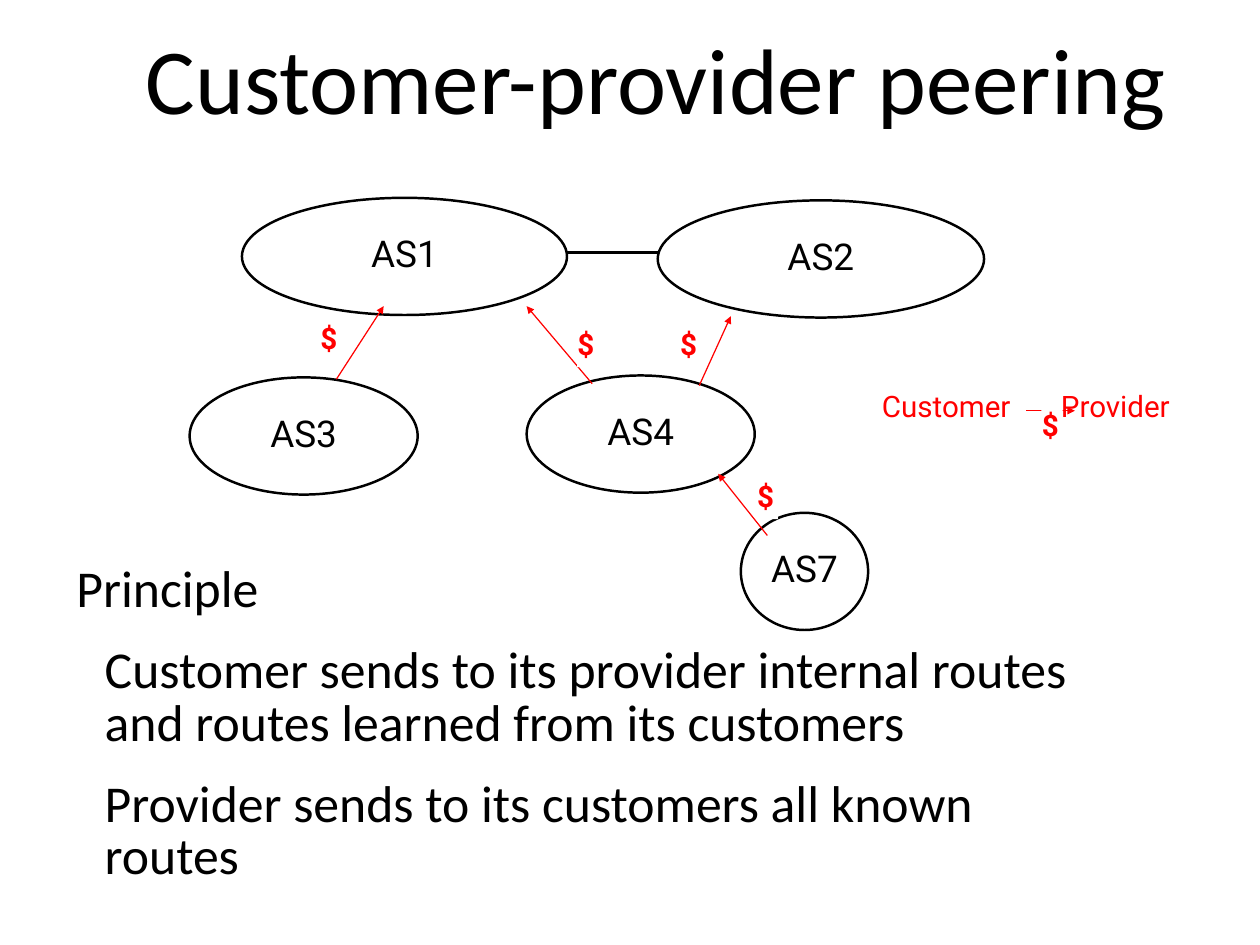
from lxml.etree import SubElement
from pptx import Presentation
from pptx.dml.color import RGBColor
from pptx.enum.shapes import MSO_CONNECTOR as Line, MSO_SHAPE as Shape
from pptx.enum.text import MSO_ANCHOR as Anchor, MSO_AUTO_SIZE as Fit, PP_ALIGN as Align
from pptx.oxml.ns import qn
from pptx.util import Inches, Pt

BLACK, RED, WHITE = "000000", "FF0000", "FFFFFF"
COLUMNS, ROWS = 100, 75


def color(hex_code):
    return RGBColor.from_string(hex_code)


class PeeringSlide:
    """Places elements on a slide divided into COLUMNS by ROWS."""

    heading_font, diagram_font = "Calibri", "Roboto"
    line_spacing = 0.84

    def __init__(self, deck):
        self.column = deck.slide_width / COLUMNS
        self.row = deck.slide_height / ROWS
        self.slide = deck.slides.add_slide(deck.slide_layouts[1])
        self.shapes = self.slide.shapes

    def point(self, x, y):
        return round(x * self.column), round(y * self.row)

    def box(self, x, y, width, height):
        return *self.point(x, y), *self.point(width, height)

    def frame(self, holder, inset=0, wrap=True):
        frame = holder.text_frame
        frame.auto_size = Fit.NONE
        frame.word_wrap = wrap
        frame.vertical_anchor = Anchor.MIDDLE
        frame.margin_left = frame.margin_right = Inches(inset)
        frame.margin_top = frame.margin_bottom = Inches(inset)
        return frame

    def add_text(self, paragraph, text, size, font, hex_code=BLACK, bold=False, align=Align.CENTER):
        paragraph.alignment = align
        paragraph.line_spacing = self.line_spacing
        run = paragraph.add_run()
        run.text = text
        run.font.name, run.font.size, run.font.bold = font, Pt(size), bold
        run.font.color.rgb = color(hex_code)

    def place(self, placeholder, bounds):
        placeholder.left, placeholder.top, placeholder.width, placeholder.height = self.box(*bounds)
        return self.frame(placeholder, inset=0.06)

    def title(self, text, bounds):
        frame = self.place(self.shapes.title, bounds)
        self.add_text(frame.paragraphs[0], text, 75.6, self.heading_font)

    def body(self, items, bounds):
        """Adds (level, text) items without bullets."""
        frame = self.place(self.slide.placeholders[1], bounds)
        for index, (level, text) in enumerate(items):
            paragraph = frame.add_paragraph() if index else frame.paragraphs[0]
            paragraph.level = level
            paragraph.space_before = Pt(24 if index else 0)
            properties = paragraph._p.get_or_add_pPr()
            properties.set("marL", str(Inches(0.39 + 0.32 * level)))
            properties.set("indent", "0")
            SubElement(properties, qn("a:buNone"))
            self.add_text(paragraph, text, 42, self.heading_font, align=Align.LEFT)

    def legend(self, text, bounds, tab_stop):
        holder = self.shapes.add_textbox(*self.box(*bounds))
        paragraph = self.frame(holder).paragraphs[0]
        tabs = SubElement(paragraph._p.get_or_add_pPr(), qn("a:tabLst"))
        SubElement(tabs, qn("a:tab"), pos=str(Inches(tab_stop)), algn="l")
        self.add_text(paragraph, text, 24, self.diagram_font, RED, align=Align.LEFT)

    def network(self, name, x, y, width):
        ellipse = self.shapes.add_shape(Shape.OVAL, *self.box(x, y, width, 9.3))
        ellipse.shadow.inherit = False
        ellipse.fill.background()
        ellipse.line.color.rgb = color(BLACK)
        ellipse.line.width = Pt(2)
        self.add_text(self.frame(ellipse).paragraphs[0], name, 30, self.diagram_font)

    def link(self, start, end, hex_code=BLACK, width=3, arrow=False):
        connector = self.shapes.add_connector(Line.STRAIGHT, *self.point(*start), *self.point(*end))
        connector.line.color.rgb = color(hex_code)
        connector.line.width = Pt(width)
        outline = connector._element.spPr.find(qn("a:ln"))
        if arrow:
            SubElement(outline, qn("a:tailEnd"), type="triangle")
        SubElement(connector._element.spPr, qn("a:effectLst"))

    def payment(self, x, y):
        badge = self.shapes.add_shape(Shape.RECTANGLE, *self.box(x, y, 1.7, 3))
        badge.shadow.inherit = False
        badge.fill.solid()
        badge.fill.fore_color.rgb = color(WHITE)
        badge.line.fill.background()
        frame = self.frame(badge, wrap=False)
        frame.margin_right, frame.margin_bottom = Inches(0.04), Inches(0.03)
        self.add_text(frame.paragraphs[0], "$", 24, self.diagram_font, RED, bold=True)


def main():
    deck = Presentation()
    deck.slide_width, deck.slide_height = Inches(14.22), Inches(10.67)
    peering = PeeringSlide(deck)

    peering.title("Customer-provider peering", (10.6, 0, 82.9, 13.7))
    peering.body([
        (0, "Principle"),
        (1, "Customer sends to its provider internal routes and routes learned from its customers"),
        (1, "Provider sends to its customers all known routes"),
    ], (2.9, 41.4, 85.4, 32.35))
    peering.legend("Customer\tProvider", (70, 31, 23.6, 2.8), tab_stop=2.02)

    for name, x, y, width in [
        ("AS1", 19.2, 15.7, 25.8),
        ("AS2", 52.2, 15.9, 25.9),
        ("AS3", 15.05, 29.95, 18.1),
        ("AS4", 41.8, 29.8, 18.1),
        ("AS7", 58.8, 40.7, 10.1),
    ]:
        peering.network(name, x, y, width)

    peering.link((45, 20.05), (52.25, 20.05))
    payments = [  # customer end, provider end, dollar sign
        ((26.7, 30.1), (30.45, 24.3), (25.4, 25.65)),
        ((47, 30.45), (41.8, 24.3), (45.8, 26.15)),
        ((55.5, 30.6), (58, 25.1), (53.95, 26.15)),
        ((60.9, 42.5), (57, 37.6), (60.05, 38.2)),
        ((81.45, 32.6), (85.3, 32.6), (82.65, 32.55)),
    ]
    for customer, provider, dollar in payments:
        peering.link(customer, provider, RED, width=1, arrow=True)
        peering.payment(*dollar)

    deck.save("out.pptx")


if __name__ == "__main__":
    main()
